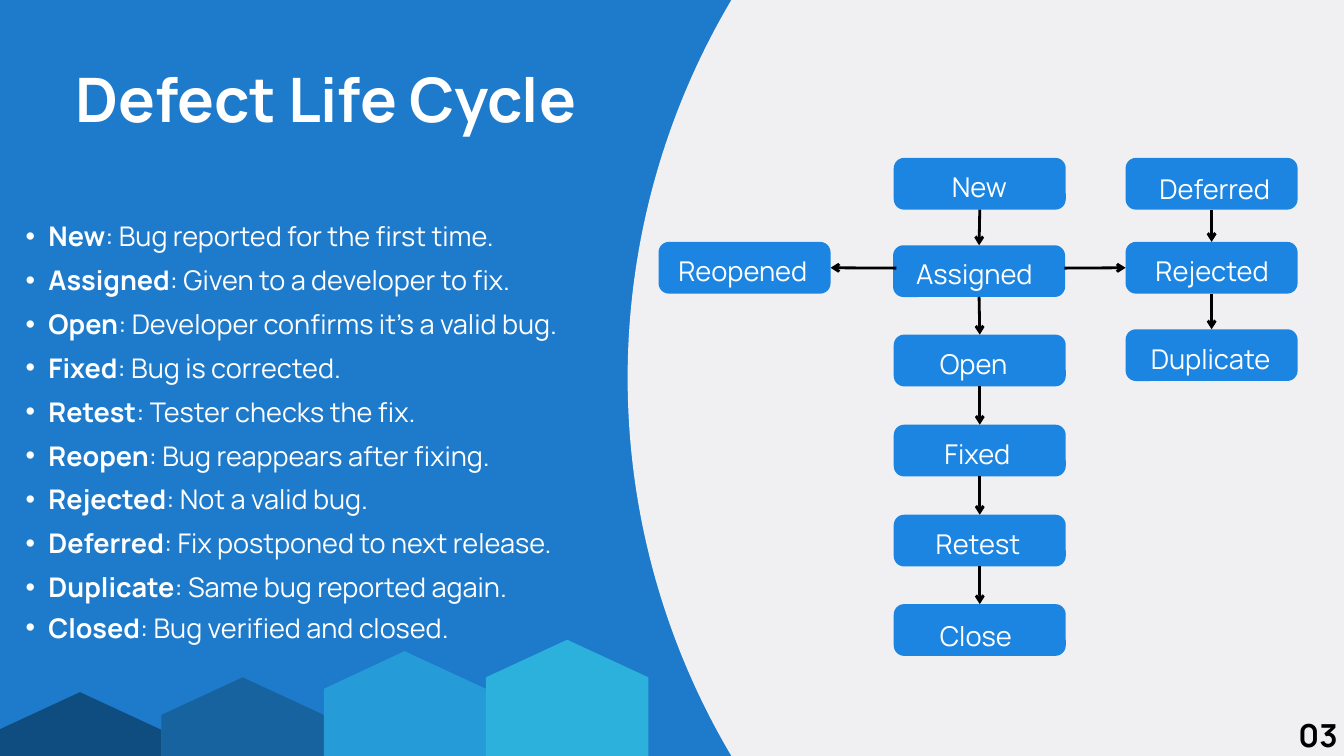
from lxml.etree import SubElement
from pptx import Presentation
from pptx.dml.color import RGBColor
from pptx.enum.shapes import MSO_CONNECTOR, MSO_SHAPE
from pptx.enum.text import MSO_ANCHOR, PP_ALIGN
from pptx.oxml.ns import qn
from pptx.util import Pt

PX = 9144  # 100 px to the inch
FONT = "Manrope"
BACKGROUND = RGBColor(0x1E, 0x7A, 0xCB)
PALE = RGBColor(0xF0, 0xF0, 0xF2)
NODE = RGBColor(0x1C, 0x84, 0xE1)
WHITE = RGBColor(0xFF, 0xFF, 0xFF)
BLACK = RGBColor(0x00, 0x00, 0x00)
BAR_COLOURS = [
    RGBColor(0x0F, 0x4C, 0x7F),
    RGBColor(0x16, 0x63, 0xA0),
    RGBColor(0x25, 0x9B, 0xD8),
    RGBColor(0x2B, 0xB1, 0xDB),
]
TOP, LEFT, BOTTOM, RIGHT = range(4)

STATES = [
    ("New", "Bug reported for the first time."),
    ("Assigned", "Given to a developer to fix."),
    ("Open", "Developer confirms it’s a valid bug."),
    ("Fixed", "Bug is corrected."),
    ("Retest", "Tester checks the fix."),
    ("Reopen", "Bug reappears after fixing."),
    ("Rejected", "Not a valid bug."),
    ("Deferred", "Fix postponed to next release."),
    ("Duplicate", "Same bug reported again."),
    ("Closed", "Bug verified and closed."),
]
# Name, left and top in the flow, then left and top inset of the label
NODES = [
    ("New", 350, 0, 82, 6),
    ("Assigned", 349, 130, 30, 5),
    ("Open", 350, 263, 64, 6),
    ("Fixed", 350, 397, 71, 6),
    ("Retest", 350, 531, 58, 6),
    ("Close", 350, 664, 64, 10),
    ("Reopened", 0, 125, 25, 6),
    ("Deferred", 695, 0, 46, 8),
    ("Rejected", 695, 125, 40, 6),
    ("Duplicate", 695, 255, 33, 7),
]
CHAINS = [
    ("New", "Assigned", "Open", "Fixed", "Retest", "Close"),
    ("Deferred", "Rejected", "Duplicate"),
]


def emu(*lengths):
    return [round(length * PX) for length in lengths]


def set_format(target, values):
    for name, value in values.items():
        setattr(target, name, value)


def fill_plain(shape, colour):
    shape.shadow.inherit = False
    shape.fill.solid()
    shape.fill.fore_color.rgb = colour
    shape.line.fill.background()


def set_frame(frame, left=0, top=0):
    set_format(frame, {
        "word_wrap": True,
        "vertical_anchor": MSO_ANCHOR.TOP,
        "margin_left": left * PX,
        "margin_top": top * PX,
        "margin_right": 0,
        "margin_bottom": 0,
    })


def add_span(para, text, size, colour=WHITE, bold=False):
    span = para.add_run()
    span.text = text
    set_format(span.font, {"name": FONT, "size": Pt(size), "bold": bold})
    span.font.color.rgb = colour


def add_line_of_text(page, box, text, size, spacing, colour, align):
    frame = page.shapes.add_textbox(*emu(*box)).text_frame
    set_frame(frame)
    para = frame.paragraphs[0]
    set_format(para, {"alignment": align, "line_spacing": Pt(spacing)})
    add_span(para, text, size, colour, bold=True)


def add_circle(page, box):
    fill_plain(page.shapes.add_shape(MSO_SHAPE.OVAL, *emu(*box)), PALE)


def add_state_list(page, box):
    frame = page.shapes.add_textbox(*emu(*box)).text_frame
    set_frame(frame)
    for index, (state, meaning) in enumerate(STATES):
        para = frame.add_paragraph() if index else frame.paragraphs[0]
        properties = para._p.get_or_add_pPr()
        properties.set("marL", str(68 * PX))
        properties.set("indent", str(-34 * PX))
        SubElement(properties, qn("a:buFont")).set("typeface", "Arial")
        SubElement(properties, qn("a:buChar")).set("char", "•")
        last = index == len(STATES) - 1
        set_format(para, {
            "level": 1,
            "alignment": PP_ALIGN.JUSTIFY,
            "line_spacing": Pt(43.5 if last else 47),
        })
        add_span(para, state, 29, bold=True)
        add_span(para, f": {meaning}", 29)


def add_node(page, box, name, inset_left, inset_top):
    node = page.shapes.add_shape(MSO_SHAPE.ROUNDED_RECTANGLE, *emu(*box))
    node.adjustments[0] = 0.2
    fill_plain(node, NODE)
    set_frame(node.text_frame, inset_left, inset_top)
    para = node.text_frame.paragraphs[0]
    set_format(para, {"alignment": PP_ALIGN.LEFT, "line_spacing": Pt(40.9)})
    add_span(para, name, 29.2)
    return node


def add_arrow(page, start=(0, 0), end=(0, 0)):
    arrow = page.shapes.add_connector(MSO_CONNECTOR.STRAIGHT, *emu(*start, *end))
    arrow.line.width = Pt(3)
    arrow.line.color.rgb = BLACK
    SubElement(arrow.line._get_or_add_ln(), qn("a:tailEnd")).set("type", "arrow")
    SubElement(arrow._element.spPr, qn("a:effectLst"))
    return arrow


def add_flow(page, box):
    left, top, _, _ = box
    nodes = {
        name: add_node(page, (left + x, top + y, 256, 77), name, *insets)
        for name, x, y, *insets in NODES
    }
    for chain in CHAINS:
        for source, target in zip(chain, chain[1:]):
            arrow = add_arrow(page)
            arrow.begin_connect(nodes[source], BOTTOM)
            arrow.end_connect(nodes[target], TOP)
    # The side arrows leave Assigned level with the side nodes
    for target, start, side in [("Reopened", 354, RIGHT), ("Rejected", 604, LEFT)]:
        point = (left + start, top + 164)
        add_arrow(page, point, point).end_connect(nodes[target], side)


def add_bars(page, box):
    """Draw four pointed bars that rise from left to right."""
    left, top, width, height = box
    step = width / len(BAR_COLOURS)
    bottom = top + height
    shoulders = [134, 112, 73, 56]
    for index, (colour, shoulder) in enumerate(zip(BAR_COLOURS, shoulders)):
        start = left + index * step
        end = start + step
        level = top + shoulder
        builder = page.shapes.build_freeform(start, bottom, scale=PX)
        builder.add_line_segments([
            (start, level), (start + step / 2, level - 56), (end, level), (end, bottom),
        ])
        fill_plain(builder.convert_to_shape(), colour)


def main():
    deck = Presentation()
    set_format(deck, {"slide_width": 2000 * PX, "slide_height": 1125 * PX})
    page = deck.slides.add_slide(deck.slide_layouts[6])
    page.background.fill.solid()
    page.background.fill.fore_color.rgb = BACKGROUND
    add_circle(page, (934, -539, 2203, 2203))
    add_state_list(page, (4, 310, 931, 703))
    add_flow(page, (980, 235, 951, 741))
    add_bars(page, (-2, 952, 967, 173))
    add_line_of_text(page, (112, 105, 782, 106), "Defect Life Cycle",
                     65.7, 69, WHITE, PP_ALIGN.LEFT)
    add_line_of_text(page, (1923, 1046, 77, 76), "03",
                     34, 55.1, BLACK, PP_ALIGN.CENTER)
    deck.save("out.pptx")


if __name__ == "__main__":
    main()
